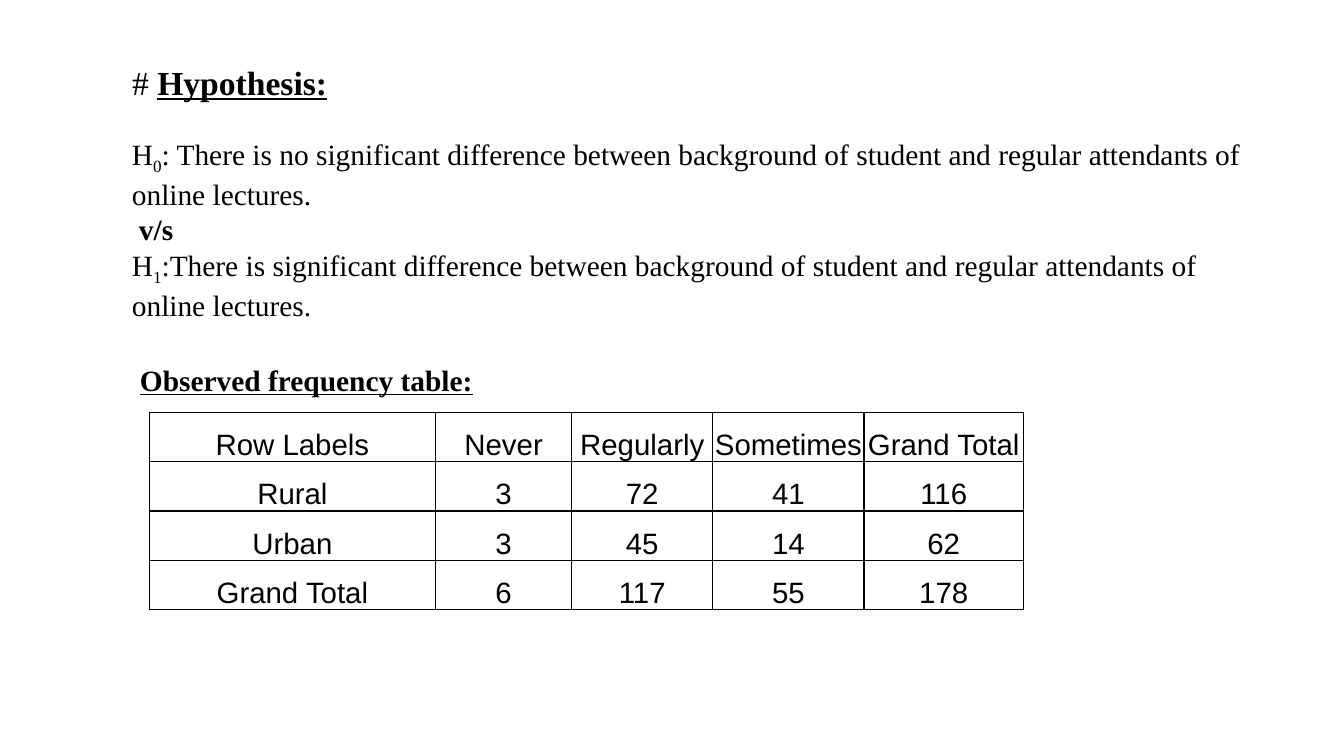
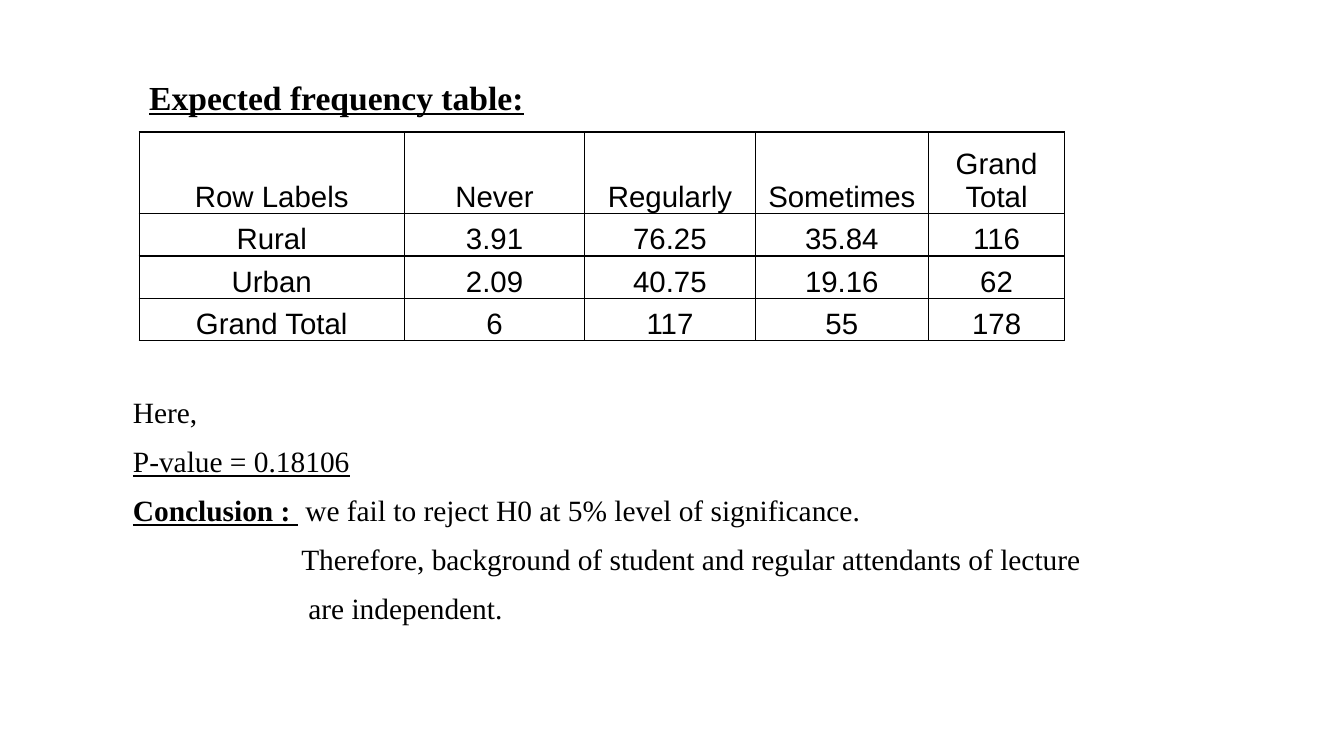
from pptx import Presentation
from pptx.dml.color import RGBColor
from pptx.enum.text import MSO_ANCHOR, MSO_AUTO_SIZE, PP_ALIGN
from pptx.oxml import parse_xml
from pptx.oxml.ns import nsdecls
from pptx.util import Inches, Pt

LEFT, CENTER = PP_ALIGN.LEFT, PP_ALIGN.CENTER
TOP, BOTTOM = MSO_ANCHOR.TOP, MSO_ANCHOR.BOTTOM
NO_AUTOFIT = MSO_AUTO_SIZE.NONE

COLORS = {"ink": "000000", "paper": "FFFFFF"}
INK = RGBColor.from_string(COLORS["ink"])
SERIF, SANS = "Times New Roman", "Arial"
TITLE_SIZE, BODY_SIZE = Pt(24), Pt(21)
STRONG = "bold underline"
TITLE_ONLY = 5


def write_text(box, place, size, paragraphs, line_spacing=1.0, gap=0):
    """Place a box and fill it with (indent, [(text, style), ...]) paragraphs."""
    box.left, box.top, box.width, box.height = [Inches(value) for value in place]
    frame = box.text_frame
    frame.word_wrap = True
    frame.auto_size = NO_AUTOFIT
    frame.vertical_anchor = TOP
    for index, (indent, spans) in enumerate(paragraphs):
        para = frame.paragraphs[0] if index == 0 else frame.add_paragraph()
        para.alignment = LEFT
        para.line_spacing = line_spacing
        para.space_before = Pt(gap if index else 0)
        if indent:
            para._p.get_or_add_pPr().set("marL", str(Inches(indent)))
        para.font.name, para.font.size = SERIF, size
        para.font.color.rgb = INK
        for text, style in spans:
            span = para.add_run()
            span.text = text
            if "bold" in style:
                span.font.bold = True
            if "underline" in style:
                span.font.underline = True
            if style == "subscript":
                span._r.get_or_add_rPr().set("baseline", "-25000")


def add_frequency_table(page, left, top, widths, heights, counts):
    """Add a ruled table of attendance by background."""
    header = ["Row Labels", "Never", "Regularly", "Sometimes", "Grand Total"]
    rows = [header] + counts + [["Grand Total", "6", "117", "55", "178"]]
    table = page.shapes.add_table(
        len(rows), len(header), Inches(left), Inches(top),
        Inches(sum(widths)), Inches(sum(heights))).table
    table.first_row = table.horz_banding = False
    for column, width in zip(table.columns, widths):
        column.width = Inches(width)
    for row, height, texts in zip(table.rows, heights, rows):
        row.height = Inches(height)
        for cell, text in zip(row.cells, texts):
            cell.text = text
            cell.vertical_anchor = BOTTOM
            cell.margin_left = cell.margin_right = cell.margin_top = Inches(0.01)
            cell.margin_bottom = 0
            para = cell.text_frame.paragraphs[0]
            para.alignment = CENTER
            para.font.name, para.font.size = SANS, BODY_SIZE
            para.font.color.rgb = INK
            for side in ("lnL", "lnR", "lnT", "lnB"):
                cell._tc.get_or_add_tcPr().append(parse_xml(
                    f'<a:{side} {nsdecls("a")} w="{Pt(1)}"><a:solidFill>'
                    f'<a:srgbClr val="{COLORS["ink"]}"/></a:solidFill></a:{side}>'))
            cell.fill.solid()
            cell.fill.fore_color.rgb = RGBColor.from_string(COLORS["paper"])


deck = Presentation()
deck.slide_width, deck.slide_height = Inches(13.33), Inches(7.5)
layout = deck.slide_layouts[TITLE_ONLY]

# Slide 1: hypotheses and observed frequencies
page = deck.slides.add_slide(layout)
write_text(page.shapes.title, (1.21, 0.56, 11.28, 0.5), TITLE_SIZE,
           [(0, [("# ", ""), ("Hypothesis:", STRONG)])])

claim = "significant difference between background of student and regular attendants of online lectures."
hypotheses = [
    (0, [("H", ""), ("0", "subscript"), (f": There is no {claim}", "")]),
    (0.07, [("v/s", "bold")]),
    (0, [("H", ""), ("1", "subscript"), (f":There is {claim}", "")]),
]
box = page.shapes.add_textbox(0, 0, 0, 0)
write_text(box, (1.21, 1.3, 11.28, 1.9), BODY_SIZE, hypotheses)

add_frequency_table(page, 1.48, 4.09, [2.84, 1.35, 1.4, 1.5, 1.58], [0.49] * 4,
                    [["Rural", "3", "72", "41", "116"],
                     ["Urban", "3", "45", "14", "62"]])
box = page.shapes.add_textbox(0, 0, 0, 0)
write_text(box, (1.29, 3.54, 3.96, 0.45), BODY_SIZE,
           [(0, [("Observed frequency table:", STRONG)])])

# Slide 2: expected frequencies and conclusion
page = deck.slides.add_slide(layout)
write_text(page.shapes.title, (1.38, 0.71, 4.05, 0.5), TITLE_SIZE,
           [(0, [("Expected frequency table:", STRONG)])])

add_frequency_table(page, 1.38, 1.31, [2.63, 1.79, 1.69, 1.72, 1.35],
                    [0.81] + [0.42] * 3,
                    [["Rural", "3.91", "76.25", "35.84", "116"],
                     ["Urban", "2.09", "40.75", "19.16", "62"]])

conclusion = [
    (0, [("Here,", "")]),
    (0, [("P-value = 0.18106", "underline")]),
    (0, [("Conclusion : ", STRONG),
         (" we fail to reject H0 at 5% level of significance.", "")]),
    (1.67, [("Therefore, background of student and regular attendants of lecture", "")]),
    (1.74, [("are independent.", "")]),
]
box = page.shapes.add_textbox(0, 0, 0, 0)
write_text(box, (1.22, 3.84, 10.1, 2.5), BODY_SIZE, conclusion, line_spacing=1.07, gap=8)

deck.save("out.pptx")
